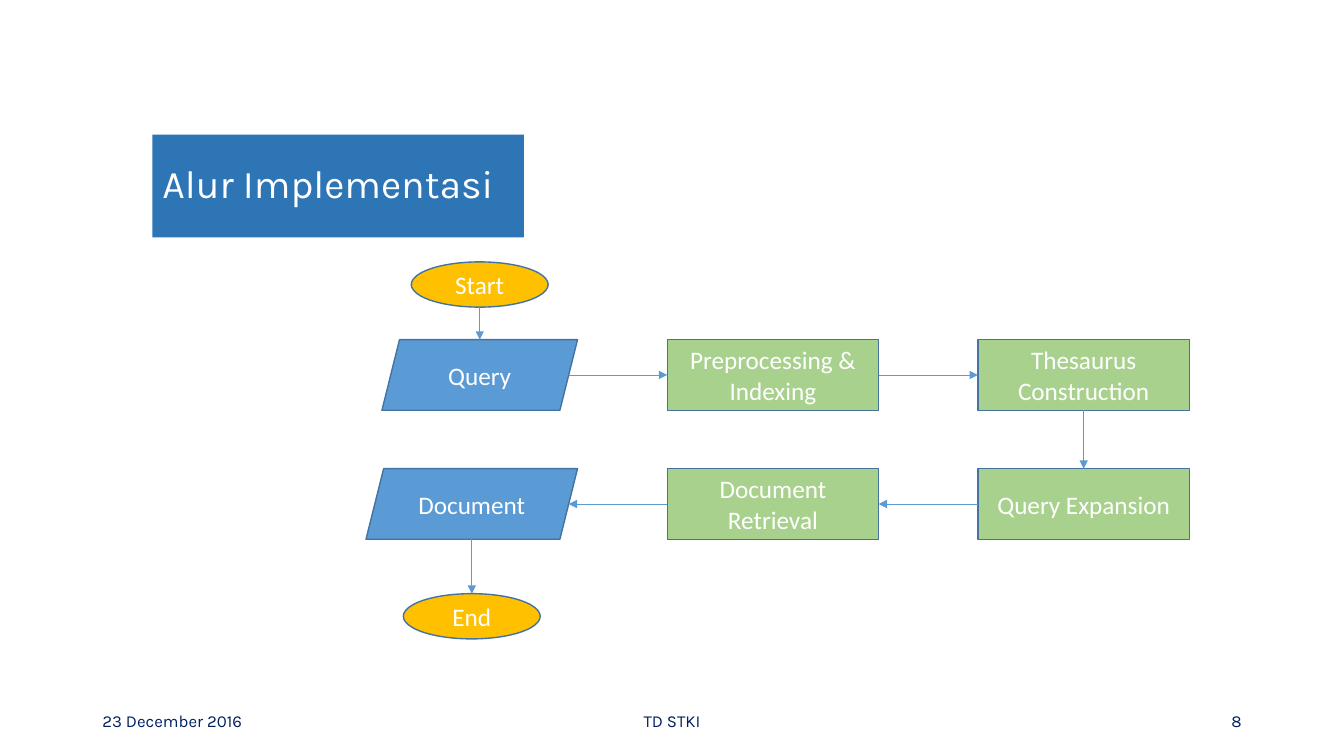
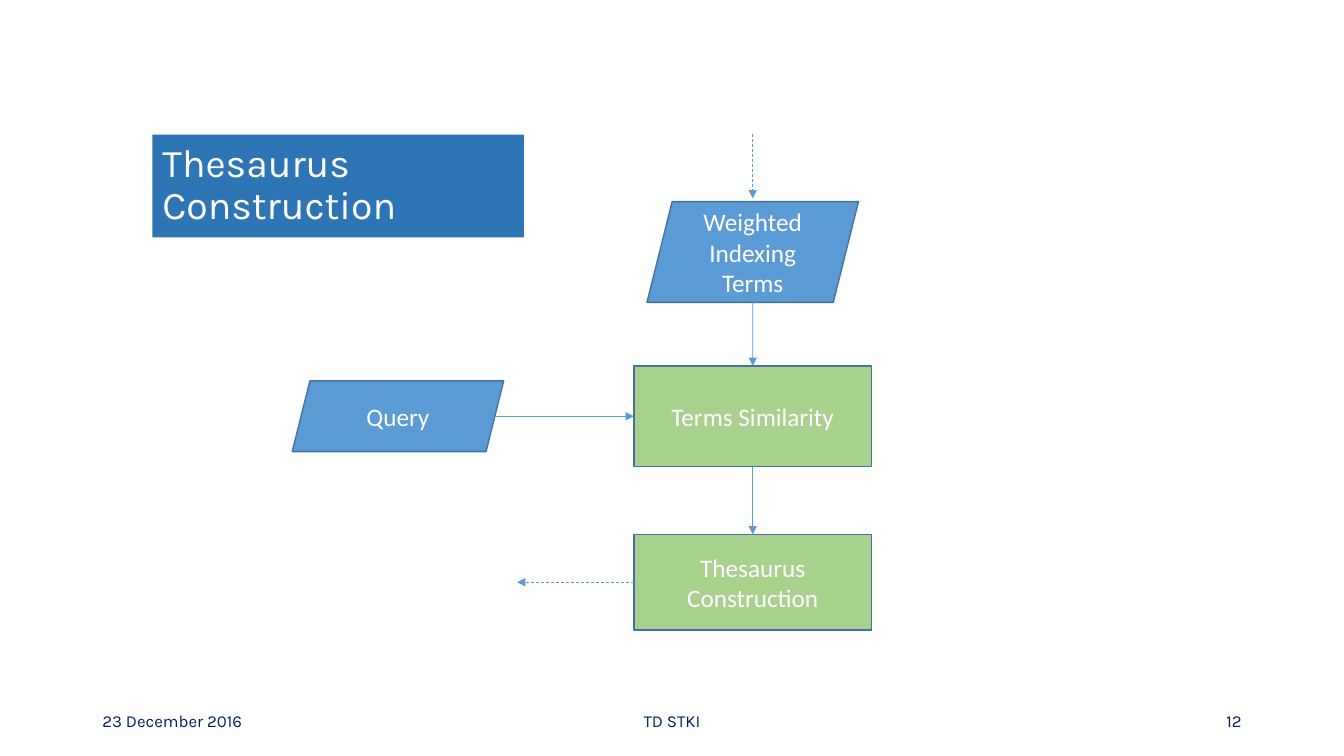
from collections import namedtuple

from lxml import etree
from pptx import Presentation
from pptx.dml.color import RGBColor
from pptx.enum.dml import MSO_LINE
from pptx.enum.shapes import MSO_CONNECTOR, MSO_SHAPE as Preset
from pptx.enum.text import MSO_ANCHOR, MSO_AUTO_SIZE, PP_ALIGN as Align
from pptx.oxml.ns import qn
from pptx.util import Cm, Pt

BLUE, GREEN, AMBER = "5B9BD5", "A9D18E", "FFC000"
OUTLINE, TITLE_BAND, NAVY, WHITE = "43739E", "2E75B6", "002060", "FFFFFF"
HEADING_FONT, BODY_FONT = "Karla", "Calibri"

FILLS = {Preset.OVAL: AMBER, Preset.PARALLELOGRAM: BLUE, Preset.RECTANGLE: GREEN}
STEP_WIDTH, STEP_HEIGHT = 5.33, 1.78
TERMINAL_SIZE = (3.45, 1.14)
TOP, LEFT, BOTTOM, RIGHT = range(4)

Anchor = namedtuple("Anchor", "x y shape side", defaults=(None, None))


def color(hex_value):
    return RGBColor.from_string(hex_value)


def paint(shape, fill):
    shape.fill.solid()
    shape.fill.fore_color.rgb = color(fill)


def write(shape, text, font, size, font_color, align):
    """Fill the shape with vertically centred, wrapped text in one style."""
    frame = shape.text_frame
    frame.text = text
    frame.word_wrap = True
    frame.auto_size = MSO_AUTO_SIZE.NONE
    frame.vertical_anchor = MSO_ANCHOR.MIDDLE
    for paragraph in frame.paragraphs:
        paragraph.alignment = align
        paragraph.font.name = font
        paragraph.font.size = Pt(size)
        paragraph.font.color.rgb = color(font_color)


def add_footer(slide, page):
    items = [
        (2.33, 7.62, "23 December 2016", Align.LEFT),
        (11.22, 11.43, "TD STKI", Align.CENTER),
        (23.92, 7.62, str(page), Align.RIGHT),
    ]
    for left, width, text, align in items:
        box = slide.shapes.add_textbox(Cm(left), Cm(17.66), Cm(width), Cm(1.01))
        write(box, text, HEADING_FONT, 12, NAVY, align)


def add_titled_slide(presentation, title_text, page):
    slide = presentation.slides.add_slide(presentation.slide_layouts[5])
    title = slide.shapes.title
    title.left, title.top = Cm(3.84), Cm(3.39)
    title.width, title.height = Cm(9.36), Cm(2.59)
    paint(title, TITLE_BAND)
    write(title, title_text, HEADING_FONT, 28, WHITE, Align.LEFT)
    title.text_frame.paragraphs[0].line_spacing = 0.9
    add_footer(slide, page)
    return slide


def add_node(slide, preset, text, center_x, center_y,
             width=STEP_WIDTH, height=STEP_HEIGHT):
    """Add a flowchart symbol around its centre, filled by its kind."""
    node = slide.shapes.add_shape(
        preset, Cm(center_x - width / 2), Cm(center_y - height / 2),
        Cm(width), Cm(height))
    node.shadow.inherit = False
    paint(node, FILLS[preset])
    node.line.color.rgb = color(OUTLINE)
    node.line.width = Pt(1)
    write(node, text, BODY_FONT, 18, WHITE, Align.CENTER)
    return node


def anchor(shape, side):
    """Middle of a side, on the slanted edge for a parallelogram."""
    slant = 0
    if shape.auto_shape_type == Preset.PARALLELOGRAM:
        slant = int(shape.adjustments[0] * shape.height / 2)
    middle_x = shape.left + shape.width // 2
    middle_y = shape.top + shape.height // 2
    x, y = {
        TOP: (middle_x, shape.top),
        LEFT: (shape.left + slant, middle_y),
        BOTTOM: (middle_x, shape.top + shape.height),
        RIGHT: (shape.left + shape.width - slant, middle_y),
    }[side]
    return Anchor(x, y, shape, side)


def is_rectangle_side(end):
    return end.shape is not None and end.shape.auto_shape_type == Preset.RECTANGLE


def add_arrow(slide, start, end, dashed=False):
    arrow = slide.shapes.add_connector(
        MSO_CONNECTOR.STRAIGHT, start.x, start.y, end.x, end.y)
    if is_rectangle_side(start):
        arrow.begin_connect(start.shape, start.side)
    if is_rectangle_side(end):
        arrow.end_connect(end.shape, end.side)
    arrow.line.color.rgb = color(BLUE)
    arrow.line.width = Pt(0.5)
    if dashed:
        arrow.line.dash_style = MSO_LINE.DASH
    properties = arrow.line._get_or_add_ln()
    etree.SubElement(properties, qn("a:tailEnd"), type="triangle")
    etree.SubElement(properties.getparent(), qn("a:effectLst"))


def build_implementation_flow(presentation):
    slide = add_titled_slide(presentation, "Alur Implementasi", 8)
    query_x, document_x, middle_x, right_x = 12.09, 11.89, 19.48, 27.31
    upper_y, lower_y = 9.45, 12.7

    start = add_node(slide, Preset.OVAL, "Start", query_x, 7.17, *TERMINAL_SIZE)
    query = add_node(slide, Preset.PARALLELOGRAM, "Query", query_x, upper_y, 4.93)
    indexing = add_node(slide, Preset.RECTANGLE, "Preprocessing & Indexing",
                        middle_x, upper_y)
    thesaurus = add_node(slide, Preset.RECTANGLE, "Thesaurus Construction",
                         right_x, upper_y)
    expansion = add_node(slide, Preset.RECTANGLE, "Query Expansion",
                         right_x, lower_y)
    retrieval = add_node(slide, Preset.RECTANGLE, "Document Retrieval",
                         middle_x, lower_y)
    document = add_node(slide, Preset.PARALLELOGRAM, "Document",
                        document_x, lower_y)
    end = add_node(slide, Preset.OVAL, "End", document_x, 15.53, *TERMINAL_SIZE)

    for source, out_side, target, in_side in [
        (start, BOTTOM, query, TOP),
        (query, RIGHT, indexing, LEFT),
        (indexing, RIGHT, thesaurus, LEFT),
        (thesaurus, BOTTOM, expansion, TOP),
        (expansion, LEFT, retrieval, RIGHT),
        (retrieval, LEFT, document, RIGHT),
        (document, BOTTOM, end, TOP),
    ]:
        add_arrow(slide, anchor(source, out_side), anchor(target, in_side))


def build_thesaurus_flow(presentation):
    slide = add_titled_slide(presentation, "Thesaurus Construction", 12)
    main_x, similarity_y = 18.97, 10.49
    box_width, box_height = 5.99, 2.54

    terms = add_node(slide, Preset.PARALLELOGRAM, "Weighted Indexing\nTerms",
                     main_x, 6.35, height=box_height)
    similarity = add_node(slide, Preset.RECTANGLE, "Terms Similarity",
                          main_x, similarity_y, box_width, box_height)
    thesaurus = add_node(slide, Preset.RECTANGLE, "Thesaurus Construction",
                         main_x, 14.67, box_width, 2.41)
    query = add_node(slide, Preset.PARALLELOGRAM, "Query", 10.03, similarity_y)

    add_arrow(slide, anchor(terms, BOTTOM), anchor(similarity, TOP))
    add_arrow(slide, anchor(query, RIGHT), anchor(similarity, LEFT))
    add_arrow(slide, anchor(similarity, BOTTOM), anchor(thesaurus, TOP))

    add_arrow(slide, Anchor(Cm(main_x), Cm(3.38)), Anchor(Cm(main_x), Cm(5)),
              dashed=True)
    exit_point = anchor(thesaurus, LEFT)
    add_arrow(slide, exit_point, Anchor(Cm(13.03), exit_point.y), dashed=True)


def main():
    presentation = Presentation()
    presentation.slide_width, presentation.slide_height = Cm(33.87), Cm(19.05)
    build_implementation_flow(presentation)
    build_thesaurus_flow(presentation)
    presentation.save("out.pptx")


if __name__ == "__main__":
    main()
